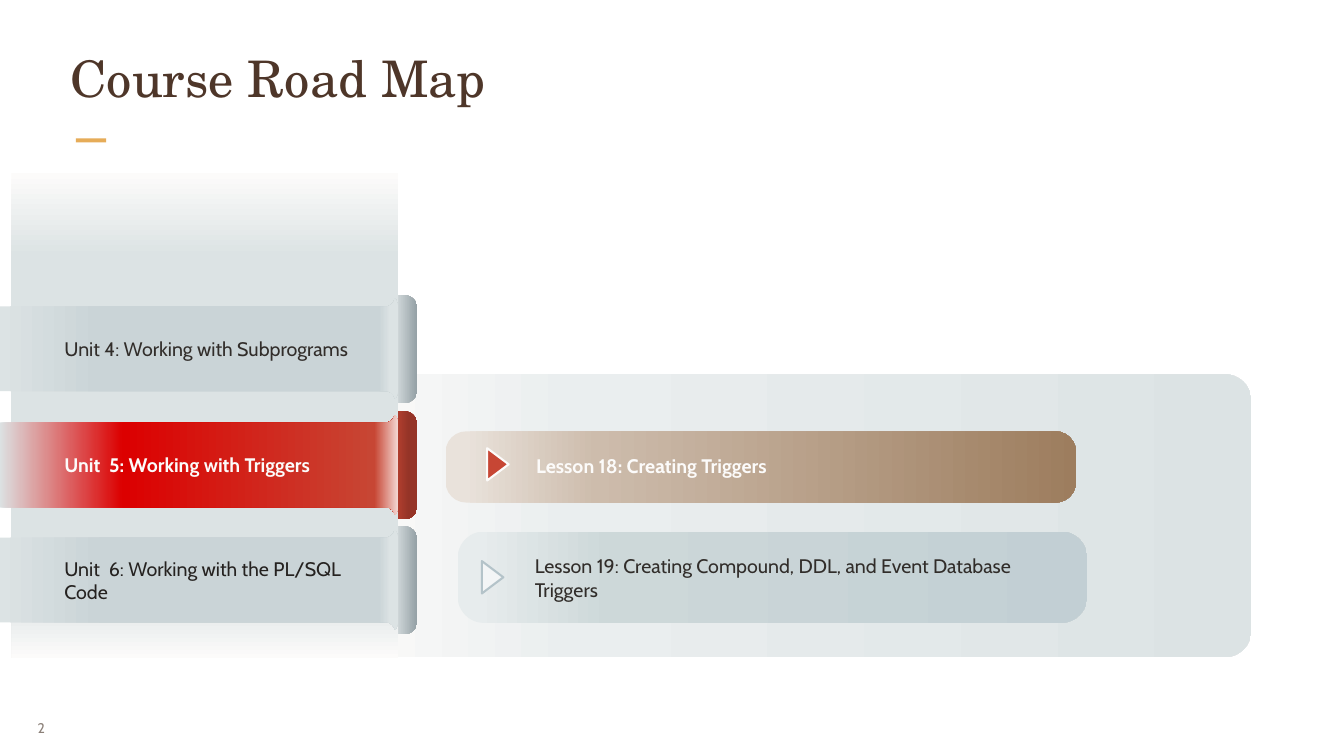
from lxml import etree
from pptx import Presentation
from pptx.dml.color import RGBColor
from pptx.enum.shapes import MSO_SHAPE
from pptx.enum.text import MSO_ANCHOR, MSO_AUTO_SIZE, PP_ALIGN
from pptx.oxml.ns import qn
from pptx.util import Pt

BODY, HEADING = "Cabin", "TeX Gyre Schola"
DARK, LIGHT = "312D2A", "FCFBFA"

# Gradient stops: (percent, colour)
GREY_TAB = [(77, "DEE4E5"), (99, "96A2A7")]
RED_TAB = [(73, "C74634"), (92, "953427")]
GREY_RIBBON = [(0, "DCE3E4"), (25, "CAD4D7"), (95, "CAD4D7"), (98, "DCE3E4")]
RED_RIBBON = [(0, "DCE3E4"), (31, "DC0000"), (94, "C74634"), (100, "F4DAD6")]
SIDEBAR = [(0, LIGHT), (17, "DCE3E4"), (87, "DCE3E4"), (100, LIGHT)]
PANEL = [(0, LIGHT), (26, "EAEEEF"), (100, "DCE3E4")]

UNITS = [
    dict(text="Unit 4: Working with Subprograms", top=316.1, width=346.3, height=32.4,
         color=DARK, bold=False, tab=GREY_TAB, ribbon=GREY_RIBBON),
    dict(text="Unit  5: Working with Triggers", top=440.6, width=366.5, height=32.4,
         color=LIGHT, bold=True, tab=RED_TAB, ribbon=RED_RIBBON),
    dict(text="Unit  6: Working with the PL/SQL Code", top=563.8, width=338.4, height=58.3,
         color="252220", bold=False, tab=GREY_TAB, ribbon=GREY_RIBBON),
]
LESSONS = [
    dict(text="Lesson 19: Creating Compound, DDL, and Event Database Triggers",
         bar=(490.3, 569.5, 674.6, 97.9), label=(565.9, 589.7, 550, 58.3),
         arrow=(510.5, 607), color=DARK, bold=False, arrow_fill="F3F5F6", arrow_line="B4C3C9",
         stops=[(3, "E7ECED"), (24, "CDD8D9"), (100, "C2CFD4")]),
    dict(text="Lesson 18: Creating Triggers",
         bar=(477.4, 462.2, 675.4, 76.3), label=(567.4, 482.4, 482.4, 32.4),
         arrow=(516.2, 486), color=LIGHT, bold=True, arrow_fill="C74634", arrow_line=LIGHT,
         stops=[(3, "E9E2DB"), (24, "CDBCAC"), (100, "9D7D5E")]),
]

# Ribbon outline: two numbers make a line, six make a Bezier curve
RIBBON = [
    (422.6, 0), (423.4, 0), (425.5, 3.6, 427, 8.6, 427, 14.4), (427, 94.3),
    (427, 99.4, 425.5, 104.4, 423.4, 108), (421.9, 104.4),
    (419.8, 101.5, 416.9, 99.4, 414, 99.4), (-0.7, 99.4), (-1.4, 94.3),
    (-1.4, 14.4), (-0.7, 8.6), (414, 8.6), (416.9, 8.6, 419.8, 6.5, 421.9, 3.6),
]
RIBBON_OFFSET, RIBBON_HEIGHT = 3.6, 108


def rgb(value):
    return RGBColor.from_string(value)


def box_of(box):
    return [Pt(v) for v in box]


def paint(sp, fill, angle=0, line=None):
    """Fill with one colour or a list of gradient stops; angle runs clockwise."""
    sp.shadow.inherit = False
    if isinstance(fill, str):
        sp.fill.solid()
        sp.fill.fore_color.rgb = rgb(fill)
    else:
        sp.fill.gradient()
        grad = sp.fill._xPr.find(qn("a:gradFill"))
        stops = grad.find(qn("a:gsLst"))
        for old in list(stops):
            stops.remove(old)
        for percent, color in fill:
            stop = etree.SubElement(stops, qn("a:gs"), pos=str(percent * 1000))
            etree.SubElement(stop, qn("a:srgbClr"), val=color)
        grad.find(qn("a:lin")).set("ang", str(angle * 60000))
    if line:
        sp.line.color.rgb = rgb(line)
        sp.line.width = Pt(2.25)
    else:
        sp.line.fill.background()
    return sp


def add_preset(s, kind, box, fill, adj=None, **look):
    sp = s.shapes.add_shape(kind, *box_of(box))
    if adj is not None:
        sp.adjustments[0] = adj
    return paint(sp, fill, **look)


def ribbon_points(top, steps=6):
    points = []
    for part in RIBBON:
        if len(part) == 2:
            points.append(part)
            continue
        controls = [points[-1], part[:2], part[2:4], part[4:]]
        for i in range(1, steps + 1):
            t = i / steps
            weights = ((1 - t) ** 3, 3 * t * (1 - t) ** 2, 3 * t * t * (1 - t), t ** 3)
            points.append(tuple(sum(w * c[k] for w, c in zip(weights, controls))
                                for k in (0, 1)))
    return [(Pt(x), Pt(top + y)) for x, y in points]


def add_ribbon(s, top, stops):
    points = ribbon_points(top)
    builder = s.shapes.build_freeform(*points[0])
    builder.add_line_segments(points[1:], close=True)
    paint(builder.convert_to_shape(), stops)


def write(sp, text, size=21, font=BODY, color=DARK, bold=False, align=PP_ALIGN.LEFT,
          anchor=MSO_ANCHOR.MIDDLE, insets=(7.2, 3.6), wrap=True):
    tf = sp.text_frame
    tf.word_wrap = wrap
    tf.auto_size = MSO_AUTO_SIZE.NONE
    tf.vertical_anchor = anchor
    tf.margin_left = tf.margin_right = Pt(insets[0])
    tf.margin_top = tf.margin_bottom = Pt(insets[1])
    p = tf.paragraphs[0]
    p.alignment = align
    p.space_before = Pt(0)
    r = p.add_run()
    r.text = text
    r.font.size, r.font.name, r.font.bold = Pt(size), font, bold
    r.font.color.rgb = rgb(color)


def add_text(s, box, text, **style):
    write(s.shapes.add_textbox(*box_of(box)), text, **style)


def main():
    prs = Presentation()
    prs.slide_width, prs.slide_height = Pt(1440), Pt(810)
    s = prs.slides.add_slide(prs.slide_layouts[5])

    title = s.shapes.title
    title.left, title.top, title.width, title.height = box_of((73.4, 48.2, 1293.1, 92.2))
    write(title, "Course Road Map", size=54, font=HEADING, color="4E3629",
          anchor=MSO_ANCHOR.TOP, insets=(2.2, 2.2))
    add_preset(s, MSO_SHAPE.RECTANGLE, (81.4, 148.3, 32.4, 4.3), "E6AC58")
    add_text(s, (31, 758.9, 46.8, 41.8), "2", size=15, color="8B8078",
             align=PP_ALIGN.JUSTIFY, insets=(9.4, 5), wrap=False)

    add_preset(s, MSO_SHAPE.ROUNDED_RECTANGLE, (360, 401, 980.6, 303.1), PANEL, adj=0.093)
    for lesson in LESSONS:
        add_preset(s, MSO_SHAPE.ROUNDED_RECTANGLE, lesson["bar"], lesson["stops"], adj=0.289)
        add_text(s, lesson["label"], lesson["text"], color=lesson["color"], bold=lesson["bold"])
        arrow = add_preset(s, MSO_SHAPE.ISOSCELES_TRIANGLE, (*lesson["arrow"], 34.6, 23),
                           lesson["arrow_fill"], line=lesson["arrow_line"])
        arrow.rotation = 90

    for unit in UNITS:
        add_preset(s, MSO_SHAPE.ROUNDED_RECTANGLE, (333.4, unit["top"], 113.8, 115.9),
                   unit["tab"], adj=0.126)
    add_preset(s, MSO_SHAPE.RECTANGLE, (12.2, 185.8, 414.7, 519.1), SIDEBAR, angle=90)
    for unit in UNITS:
        top = unit["top"] + RIBBON_OFFSET
        add_ribbon(s, top, unit["ribbon"])
        label_top = top + (RIBBON_HEIGHT - unit["height"]) / 2
        add_text(s, (61.9, label_top, unit["width"], unit["height"]), unit["text"],
                 color=unit["color"], bold=unit["bold"])

    prs.save("out.pptx")


if __name__ == "__main__":
    main()
